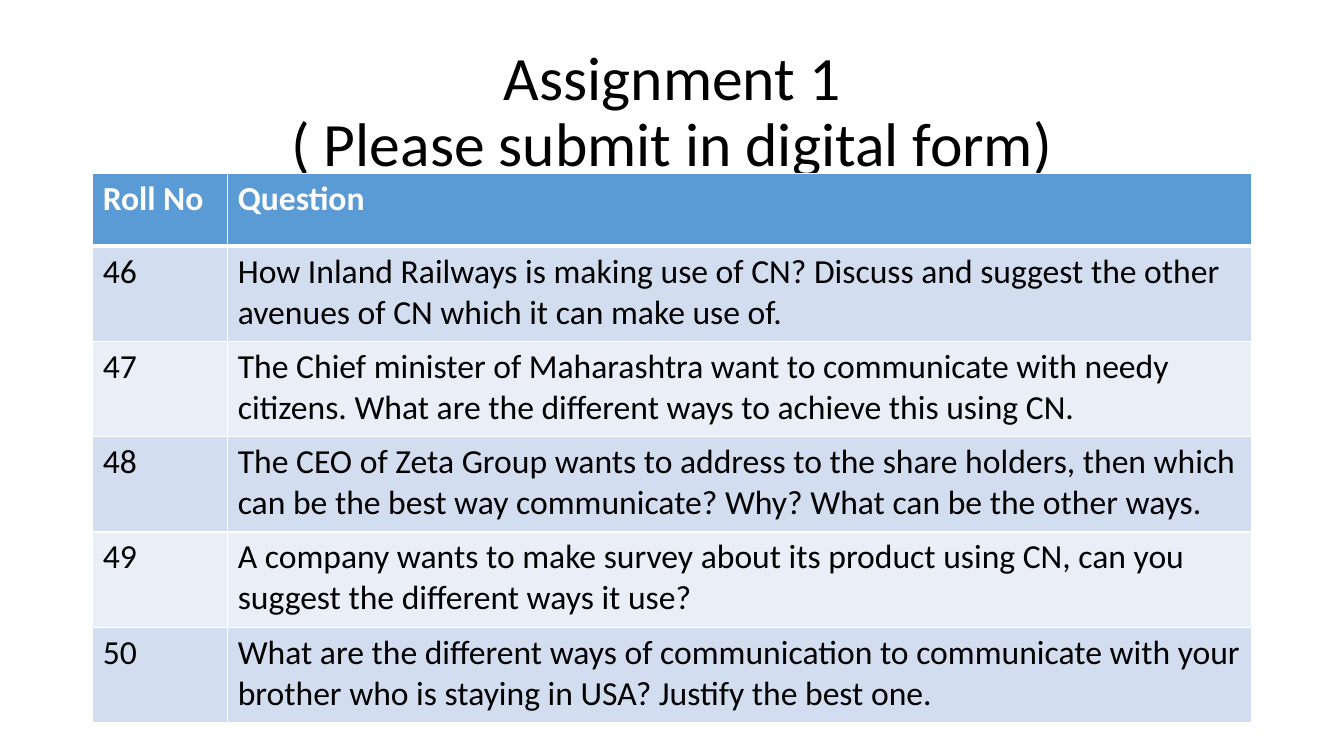
import pptx
import pptx.dml.color
import pptx.enum.text
import pptx.oxml
import pptx.oxml.ns
import pptx.util

RGBColor = pptx.dml.color.RGBColor
BLACK = RGBColor(0x00, 0x00, 0x00)
WHITE = RGBColor(0xFF, 0xFF, 0xFF)
BLUE = RGBColor(0x5B, 0x9B, 0xD5)
BANDS = (RGBColor(0xD2, 0xDE, 0xEF), RGBColor(0xEA, 0xEF, 0xF7))

TITLE = "Assignment 1\v( Please submit in digital form)"
ROWS = [
    ("Roll No", "Question"),
    ("46", "How Inland Railways is making use of CN? Discuss and suggest the other "
           "avenues of CN which it can make use of."),
    ("47", "The Chief minister of Maharashtra want to communicate with needy citizens. "
           "What are the different ways to achieve this using CN."),
    ("48", "The CEO of Zeta Group wants to address to the share holders, then which can be "
           "the best way communicate? Why? What can be the other ways."),
    ("49", "A company wants to make survey about its product using CN, can you suggest "
           "the different ways it use?"),
    ("50", "What are the different ways of communication to communicate with your brother "
           "who is staying in USA? Justify the best one."),
]


class Deck:
    """Holds the style and the current slide; lengths are percent of the slide's size."""

    font = "Calibri"

    def __init__(self):
        self.file = pptx.Presentation()
        self.file.slide_width = pptx.util.Inches(13.33)
        self.file.slide_height = pptx.util.Inches(7.5)
        self.slide = self.file.slides.add_slide(self.file.slide_layouts[5])

    def wide(self, share):
        return round(self.file.slide_width * share / 100)

    def high(self, share):
        return round(self.file.slide_height * share / 100)

    def box(self, left, top, width, height):
        return self.wide(left), self.high(top), self.wide(width), self.high(height)

    def style(self, para, size, color, bold=False):
        for run in para.runs:
            run.font.name = self.font
            run.font.size = pptx.util.Pt(size)
            run.font.color.rgb = color
            run.font.bold = bold

    def title(self, text, *place):
        shape = self.slide.shapes.title
        shape.left, shape.top, shape.width, shape.height = self.box(*place)
        frame = shape.text_frame
        frame.auto_size = pptx.enum.text.MSO_AUTO_SIZE.NONE
        frame.vertical_anchor = pptx.enum.text.MSO_ANCHOR.MIDDLE
        para = frame.paragraphs[0]
        para.text = text
        para.alignment = pptx.enum.text.PP_ALIGN.CENTER
        para.line_spacing = 0.9
        self.style(para, 44, BLACK)

    def edge(self, cell, side, width):
        line = pptx.oxml.parse_xml(
            f'<a:ln{side} {pptx.oxml.ns.nsdecls("a")} w="{pptx.util.Pt(width)}">'
            f'<a:solidFill><a:srgbClr val="{WHITE}"/></a:solidFill></a:ln{side}>')
        cell._tc.get_or_add_tcPr().append(line)

    def cell(self, cell, text, row):
        head = row == 0
        for side in "LRTB":
            thick = (side, row) in (("B", 0), ("T", 1))
            self.edge(cell, side, 3 if thick else 1)
        cell.fill.solid()
        cell.fill.fore_color.rgb = BLUE if head else BANDS[(row - 1) % 2]
        cell.text_frame.text = text
        self.style(cell.text_frame.paragraphs[0], 24, WHITE if head else BLACK, head)

    def table(self, rows, left, top, widths, head, body):
        """Draw rows with a header of height head and lines of height body."""
        total = head + body * (len(rows) - 1)
        place = self.box(left, top, sum(widths), total)
        grid = self.slide.shapes.add_table(len(rows), len(widths), *place).table
        for col, width in zip(grid.columns, widths):
            col.width = self.wide(width)
        for i, texts in enumerate(rows):
            grid.rows[i].height = self.high(body if i else head)
            for j, text in enumerate(texts):
                self.cell(grid.cell(i, j), text, i)


def main():
    deck = Deck()
    deck.title(TITLE, 6.9, 5.33, 86.25, 19.33)
    deck.table(ROWS, 6.9, 22.97, (10.05, 76.2), head=9.6, body=12.6)
    deck.file.save("out.pptx")


if __name__ == "__main__":
    main()
